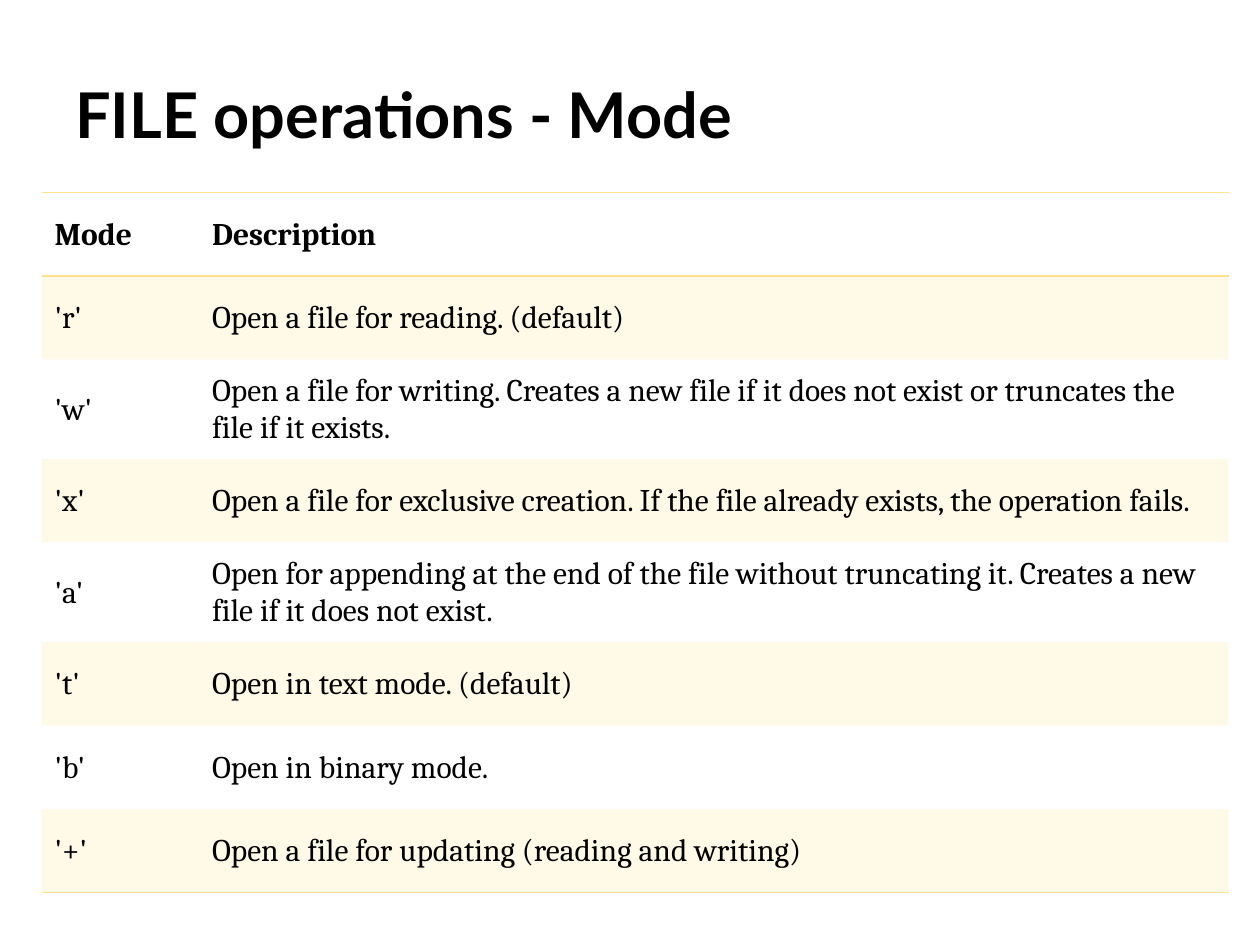
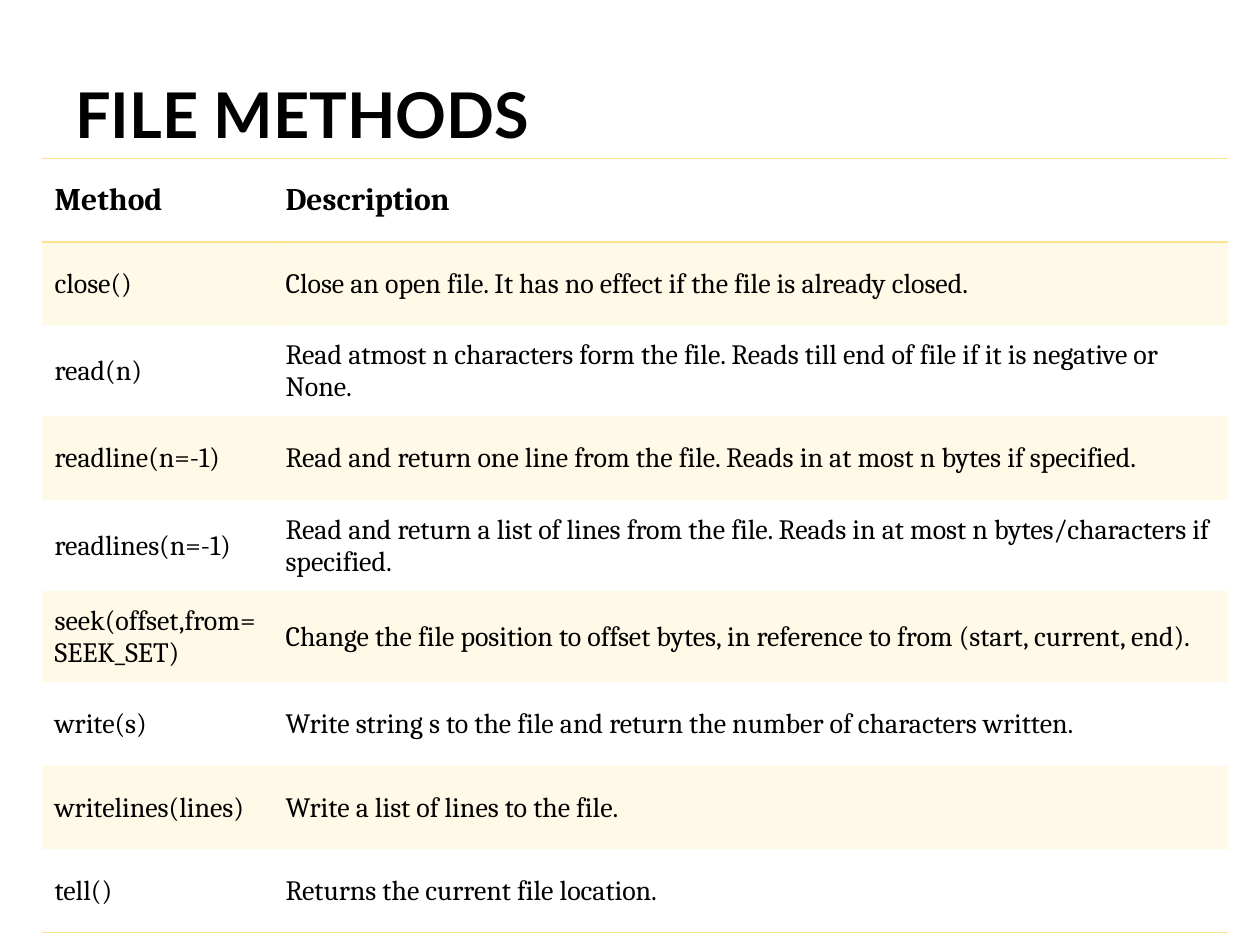
from dataclasses import dataclass

from lxml import etree
from pptx import Presentation
from pptx.dml import color
from pptx.enum import text
from pptx.oxml import ns
from pptx.util import Pt

INK = "000000"
GOLD = "FFE28F"
BAND_ALPHA = 20
NO_STYLE = "{2D5ABB26-0587-4C30-8999-92F81FD0307C}"
TABLE_LEFT, TABLE_WIDTH, ROW_HEIGHT = 24, 678, 47.7

TITLE_FONT = {"name": "Lato", "size": Pt(36), "bold": True}
HEADER_FONT = {"name": "Cambria", "size": Pt(18), "bold": True}
CELL_FRAME = {
    "margin_left": Pt(7.2),
    "margin_right": Pt(6),
    "vertical_anchor": text.MSO_ANCHOR.MIDDLE,
}
HEADER_MARGINS = {"margin_top": Pt(11.25), "margin_bottom": Pt(10.5)}
BODY_MARGINS = {"margin_top": Pt(7.2), "margin_bottom": Pt(6.5)}
TABLE_FLAGS = {"first_row": False, "horz_banding": False}


@dataclass
class Reference:
    title: str
    top: float
    key_width: float
    body_size: int
    header: tuple[str, str]
    entries: list[tuple[str, str]]


REFERENCES = [
    Reference(
        "FILE operations - Mode", 110, 90, 18, ("Mode", "Description"),
        [
            ("'r'", "Open a file for reading. (default)"),
            ("'w'", "Open a file for writing. Creates a new file if it does not exist "
                    "or truncates the file if it exists."),
            ("'x'", "Open a file for exclusive creation. If the file already exists, "
                    "the operation fails."),
            ("'a'", "Open for appending at the end of the file without truncating it. "
                    "Creates a new file if it does not exist."),
            ("'t'", "Open in text mode. (default)"),
            ("'b'", "Open in binary mode."),
            ("'+'", "Open a file for updating (reading and writing)"),
        ],
    ),
    Reference(
        "FILE METHODS", 90.5, 132, 16, ("Method", "Description"),
        [
            ("close()", "Close an open file. It has no effect if the file is already closed."),
            ("read(n)", "Read atmost n characters form the file. Reads till end of file "
                        "if it is negative or None."),
            ("readline(n=-1)", "Read and return one line from the file. "
                               "Reads in at most n bytes if specified."),
            ("readlines(n=-1)", "Read and return a list of lines from the file. "
                                "Reads in at most n bytes/characters if specified."),
            ("seek(offset,from=SEEK_SET)", "Change the file position to offset bytes, "
                                           "in reference to from (start, current, end)."),
            ("write(s)", "Write string s to the file and return the number of "
                         "characters written."),
            ("writelines(lines)", "Write a list of lines to the file."),
            ("tell()", "Returns the current file location."),
        ],
    ),
]


def rgb(value: str) -> color.RGBColor:
    return color.RGBColor.from_string(value)


def apply(target, values: dict) -> None:
    for name, value in values.items():
        setattr(target, name, value)


def write(frame, words: str, font: dict) -> None:
    run = frame.paragraphs[0].add_run()
    run.text = words
    apply(run.font, font)
    run.font.color.rgb = rgb(INK)


def add_title(slide, words: str) -> None:
    heading = slide.shapes.add_textbox(Pt(36), Pt(6), Pt(534), Pt(84)).text_frame
    apply(heading, {"word_wrap": True, "vertical_anchor": text.MSO_ANCHOR.BOTTOM})
    write(heading, words, TITLE_FONT)


def rule_cell(cell, edge: str) -> None:
    properties = cell._tc.get_or_add_tcPr()
    line = etree.SubElement(properties, ns.qn(f"a:{edge}"), w=str(Pt(1)))
    solid = etree.SubElement(line, ns.qn("a:solidFill"))
    etree.SubElement(solid, ns.qn("a:srgbClr"), val=GOLD)


def fill_cell(cell, banded: bool) -> None:
    if not banded:
        cell.fill.background()
        return
    cell.fill.solid()
    cell.fill.fore_color.rgb = rgb(GOLD)
    tint = cell._tc.tcPr.find(f".//{ns.qn('a:solidFill')}[last()]/{ns.qn('a:srgbClr')}")
    for solid in cell._tc.tcPr.findall(ns.qn("a:solidFill")):
        tint = solid.find(ns.qn("a:srgbClr"))
    etree.SubElement(tint, ns.qn("a:alpha"), val=str(BAND_ALPHA * 1000))


def add_reference_table(slide, reference: Reference) -> None:
    lines = [reference.header, *reference.entries]
    table = slide.shapes.add_table(
        len(lines), 2, Pt(TABLE_LEFT), Pt(reference.top),
        Pt(TABLE_WIDTH), Pt(ROW_HEIGHT * len(lines)),
    ).table
    apply(table, TABLE_FLAGS)
    table._tbl.tblPr.find(ns.qn("a:tableStyleId")).text = NO_STYLE
    table.columns[0].width = Pt(reference.key_width)
    table.columns[1].width = Pt(TABLE_WIDTH - reference.key_width)
    body_font = HEADER_FONT | {"size": Pt(reference.body_size), "bold": False}
    for index, line in enumerate(lines):
        is_header = index == 0
        table.rows[index].height = Pt(ROW_HEIGHT)
        for cell, words in zip(table.rows[index].cells, line):
            apply(cell, CELL_FRAME | (HEADER_MARGINS if is_header else BODY_MARGINS))
            write(cell.text_frame, words, HEADER_FONT if is_header else body_font)
            if is_header:
                rule_cell(cell, "lnT")
            if is_header or index == len(lines) - 1:
                rule_cell(cell, "lnB")
            fill_cell(cell, index % 2 == 1)


def main() -> None:
    deck = Presentation()
    apply(deck, {"slide_width": Pt(720), "slide_height": Pt(540)})
    for reference in REFERENCES:
        slide = deck.slides.add_slide(deck.slide_layouts[6])
        add_title(slide, reference.title)
        add_reference_table(slide, reference)
    deck.save("out.pptx")


if __name__ == "__main__":
    main()
